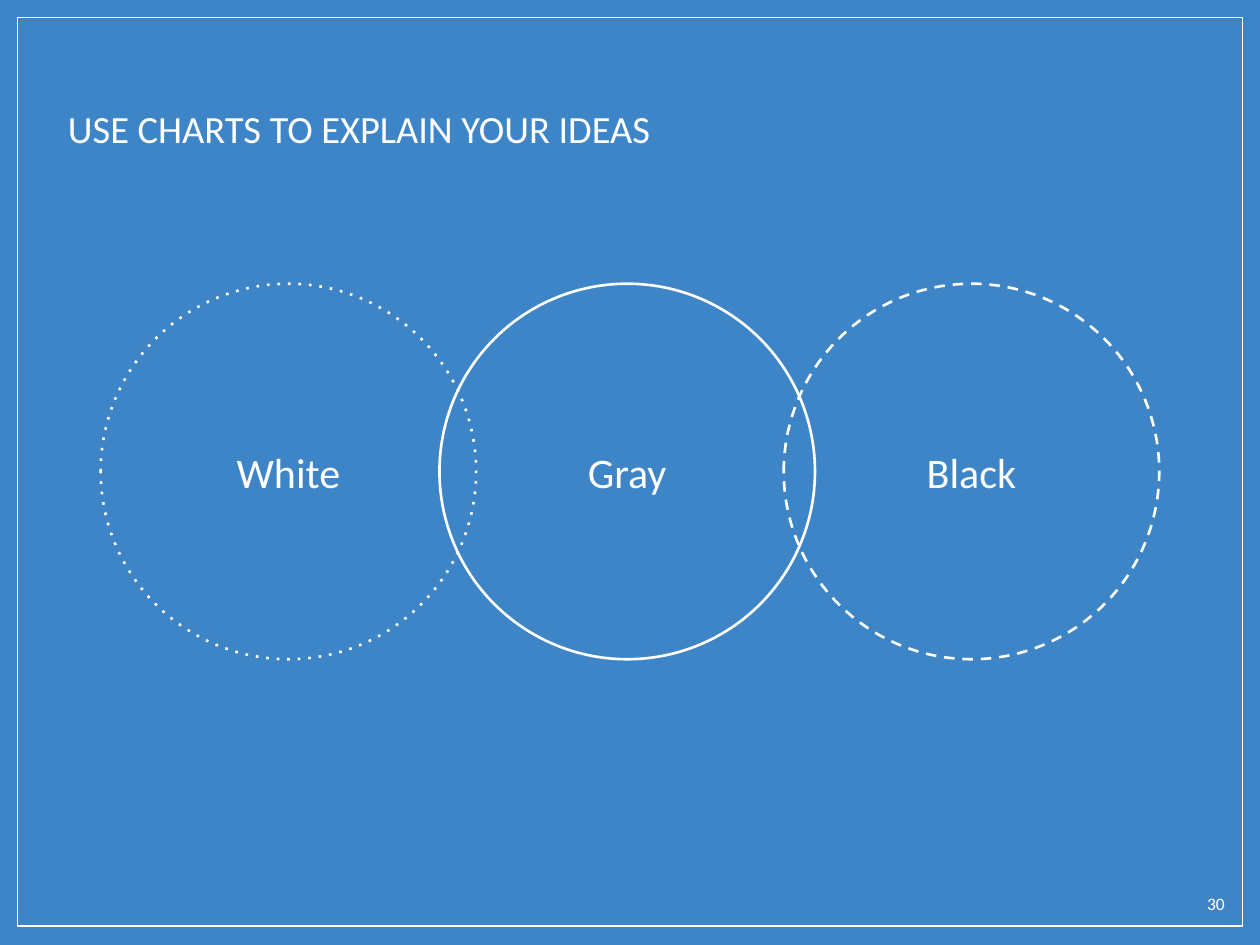
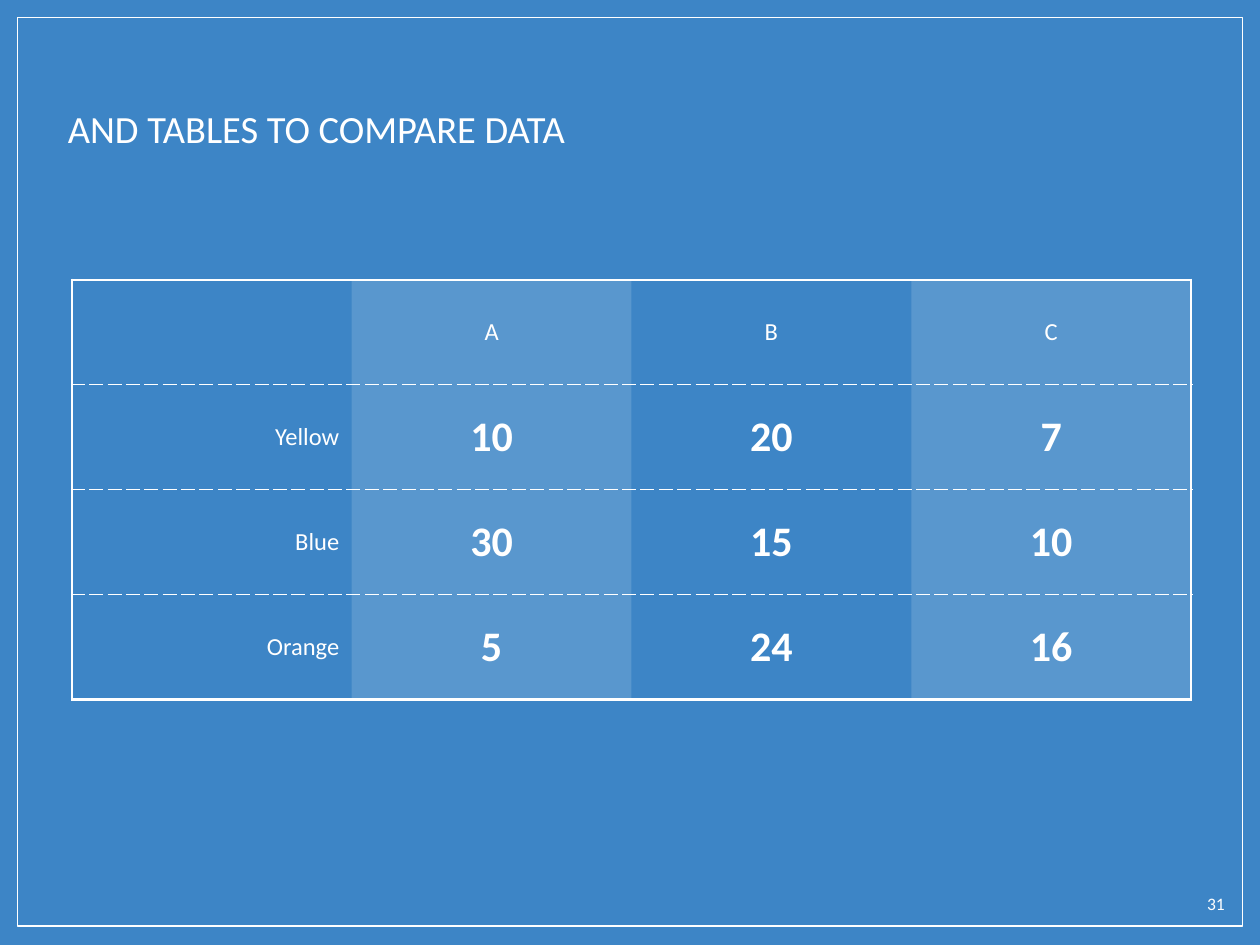
import pptx
import pptx.dml.color
import pptx.enum.dml
import pptx.enum.shapes
import pptx.enum.text
import pptx.oxml
import pptx.oxml.ns
import pptx.util

Cm = pptx.util.Cm
Pt = pptx.util.Pt
RGB = pptx.dml.color.RGBColor.from_string
qn = pptx.oxml.ns.qn
ALIGN = pptx.enum.text.PP_ALIGN
ANCHOR = pptx.enum.text.MSO_ANCHOR
SHAPE = pptx.enum.shapes.MSO_SHAPE

COLORS = {"background": "3D85C6", "ink": "FFFFFF"}
FONT = "Calibri"
INSET = Cm(0.25)
INSETS = {f"margin_{side}": INSET for side in ("left", "top", "right", "bottom")}
FRAME_FORMAT = {**INSETS, "word_wrap": True, "auto_size": pptx.enum.text.MSO_AUTO_SIZE.NONE}


def write(frame, text, size, align, anchor=ANCHOR.MIDDLE, bold=False):
    for name, value in {**FRAME_FORMAT, "vertical_anchor": anchor}.items():
        setattr(frame, name, value)
    paragraph = frame.paragraphs[0]
    paragraph.alignment = align
    run = paragraph.add_run()
    run.text = text
    for name, value in {"name": FONT, "size": Pt(size), "bold": bold}.items():
        setattr(run.font, name, value)
    run.font.color.rgb = RGB(COLORS["ink"])


def add_outline(slide, kind, box, width, dash="solid"):
    outline = slide.shapes.add_shape(kind, *map(Cm, box))
    outline.shadow.inherit = False
    outline.fill.background()
    outline.line.color.rgb = RGB(COLORS["ink"])
    outline.line.width = Pt(width)
    outline.line.dash_style = pptx.enum.dml.MSO_LINE.DASH
    outline.element.find(".//" + qn("a:prstDash")).set("val", dash)
    return outline


deck = pptx.Presentation()
deck.slide_width, deck.slide_height = Cm(25.4), Cm(19.05)
background = deck.slide_master.background.fill
background.solid()
background.fore_color.rgb = RGB(COLORS["background"])

TITLE_PLACE = {"left": Cm(1.12), "top": Cm(1.83), "width": Cm(22.86), "height": Cm(1.52)}
HEADINGS = {30: "USE CHARTS TO EXPLAIN YOUR IDEAS", 31: "AND TABLES TO COMPARE DATA"}
slides = []
for number, heading in HEADINGS.items():
    slide = deck.slides.add_slide(deck.slide_layouts[5])
    add_outline(slide, SHAPE.RECTANGLE, (0.36, 0.36, 24.69, 18.31), 0.75)
    title = slide.shapes.title
    for name, value in TITLE_PLACE.items():
        setattr(title, name, value)
    write(title.text_frame, heading, 22, ALIGN.LEFT)
    page = slide.shapes.add_textbox(Cm(23.67), Cm(17.75), Cm(1.27), Cm(1.09))
    write(page.text_frame, str(number), 10, ALIGN.RIGHT, ANCHOR.TOP)
    slides.append(slide)
chart_slide, table_slide = slides

DIAMETER = 7.57
for label, left, dash in (("Gray", 8.86, "solid"), ("White", 2.03, "dot"), ("Black", 15.8, "dash")):
    circle = add_outline(chart_slide, SHAPE.OVAL, (left, 5.72, DIAMETER, DIAMETER), 1.5, dash)
    write(circle.text_frame, label, 24, ALIGN.CENTER)

COMPARISON = (
    ("", "A", "B", "C"),
    ("Yellow", "10", "20", "7"),
    ("Blue", "30", "15", "10"),
    ("Orange", "5", "24", "16"),
)
LAST = len(COMPARISON) - 1
BORDERS = {
    "outer": (Pt(1.5), "solid"),
    "row": (Pt(0.75), "dash"),
    "none": (0, None),
}
comparison = table_slide.shapes.add_table(4, 4, Cm(1.45), Cm(5.64), Cm(22.56), Cm(8.46)).table
comparison.first_row = comparison.horz_banding = False

for row, values in enumerate(COMPARISON):
    for column, value in enumerate(values):
        cell = comparison.cell(row, column)
        for name, inset in INSETS.items():
            setattr(cell, name, inset)
        if value:
            is_figure = row > 0 and column > 0
            write(cell.text_frame, value, 24 if is_figure else 14,
                  ALIGN.CENTER if column else ALIGN.RIGHT, bold=is_figure)
        cell.vertical_anchor = ANCHOR.MIDDLE

        properties = cell._tc.get_or_add_tcPr()
        if column % 2:
            cell.fill.solid()
            cell.fill.fore_color.rgb = RGB(COLORS["ink"])
            tint = properties.find(".//" + qn("a:srgbClr"))
            tint.append(pptx.oxml.parse_xml(f'<a:alpha {pptx.oxml.ns.nsdecls("a")} val="15000"/>'))
        else:
            cell.fill.background()

        edges = {
            "lnL": "outer" if column == 0 else "none",
            "lnR": "outer" if column == LAST else "none",
            "lnT": "outer" if row == 0 else "row",
            "lnB": "outer" if row == LAST else "row",
        }
        for position, (edge, style) in enumerate(edges.items()):
            width, dash = BORDERS[style]
            stroke = "<a:noFill/>"
            if dash:
                stroke = (f'<a:solidFill><a:srgbClr val="{COLORS["ink"]}"/></a:solidFill>'
                          f'<a:prstDash val="{dash}"/>')
            properties.insert(position, pptx.oxml.parse_xml(
                f'<a:{edge} {pptx.oxml.ns.nsdecls("a")} w="{int(width)}">{stroke}</a:{edge}>'))

deck.save("out.pptx")
